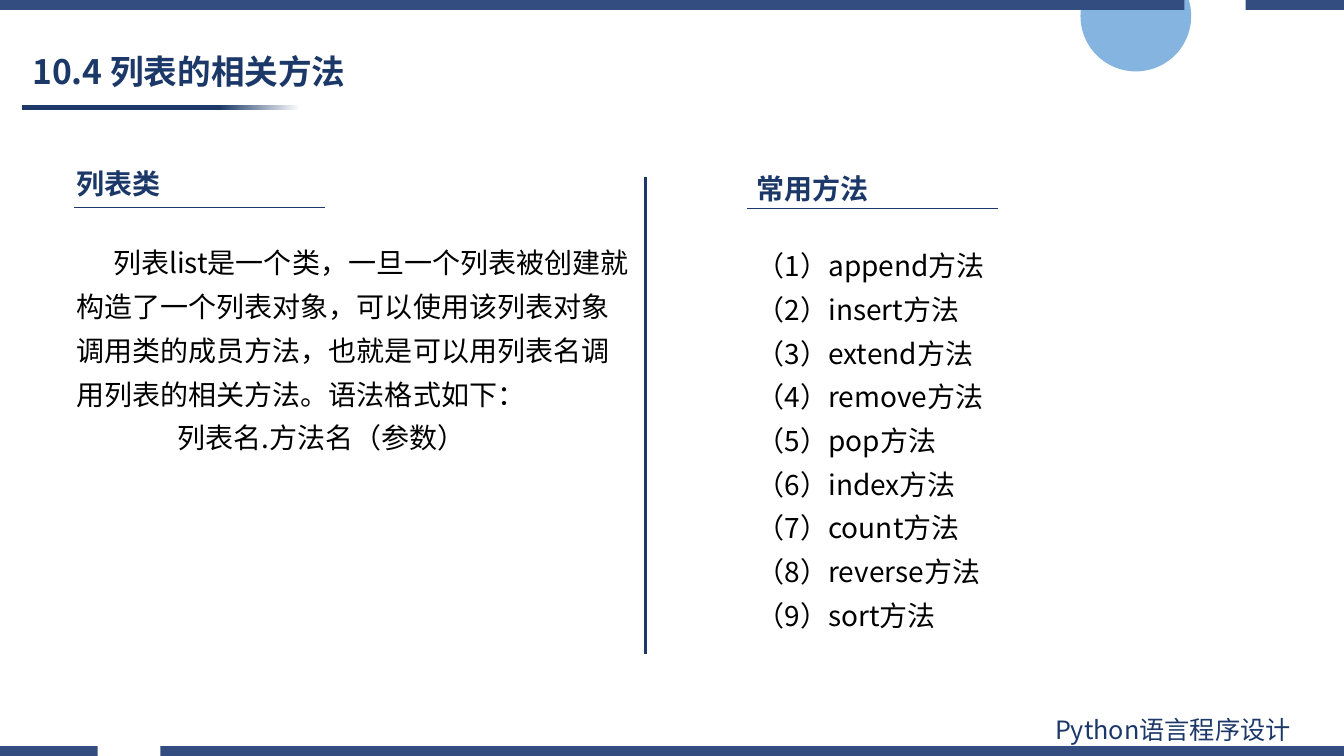
from dataclasses import dataclass

from lxml import etree
from pptx import Presentation
from pptx.dml.color import RGBColor
from pptx.enum.shapes import MSO_CONNECTOR, MSO_SHAPE
from pptx.enum.text import MSO_ANCHOR, MSO_AUTO_SIZE, PP_ALIGN
from pptx.oxml.ns import qn
from pptx.shapes.base import BaseShape
from pptx.slide import Slide
from pptx.text.text import TextFrame, _Paragraph
from pptx.util import Cm, Pt

STRAIGHT = MSO_CONNECTOR.STRAIGHT
OVAL, RECTANGLE = MSO_SHAPE.OVAL, MSO_SHAPE.RECTANGLE
MIDDLE, LEFT, NO_FIT = MSO_ANCHOR.MIDDLE, PP_ALIGN.LEFT, MSO_AUTO_SIZE.NONE

FONT = "Noto Sans CJK SC"
COLOURS = {"navy": "1B3868", "bar": "334D80", "sky": "5B9BD5",
           "text": "000000", "white": "FFFFFF"}
PAGE_WIDTH, PAGE_HEIGHT, BAR_HEIGHT = 33.87, 19.05, 0.25
METHODS = ["append", "insert", "extend", "remove", "pop",
           "index", "count", "reverse", "sort"]


@dataclass
class Line:
    text: str
    indent: float = 0


@dataclass
class TextBlock:
    left: float
    top: float
    width: float
    height: float
    lines: list[Line]
    size: float = 20
    colour: str = "text"
    bold: bool = False
    spacing: float = 1.0


@dataclass
class Rule:
    start: tuple[float, float]
    end: tuple[float, float]
    weight: float


@dataclass
class Bar:
    top: float
    spans: list[tuple[float, float]]


BARS = [
    Bar(PAGE_HEIGHT - BAR_HEIGHT, [(0, 2.46), (4.04, PAGE_WIDTH)]),
    Bar(0, [(0, 29.85), (31.39, PAGE_WIDTH)]),
]
RULES = [
    Rule((16.26, 4.47), (16.26, 16.48), 2),
    Rule((18.82, 5.26), (25.15, 5.26), 0.5),
    Rule((1.86, 5.23), (8.2, 5.23), 0.5),
]
TITLE = TextBlock(0.56, 1.14, 15.34, 1.42, [Line("10.4 列表的相关方法")],
                  size=24, colour="navy", bold=True, spacing=0.9)
TEXT_BLOCKS = [
    TextBlock(26.34, 17.88, 7.47, 1.02, [Line("Python语言程序设计")],
              size=18, colour="navy"),
    TextBlock(18.82, 4.19, 8.64, 1.12, [Line("常用方法")],
              colour="navy", bold=True),
    TextBlock(18.82, 5.89, 10.03, 11.38,
              [Line(f"（{number}）{name}方法")
               for number, name in enumerate(METHODS, start=1)], spacing=1.3),
    TextBlock(1.68, 4.06, 8.64, 1.12, [Line("列表类")],
              colour="navy", bold=True),
    TextBlock(1.68, 5.82, 14.5, 5.82, [
        Line("列表list是一个类，一旦一个列表被创建就构造了一个列表对象，"
             "可以使用该列表对象调用类的成员方法，也就是可以用列表名"
             "调用列表的相关方法。语法格式如下：", indent=0.92),
        Line("列表名.方法名（参数）", indent=2.54)], spacing=1.3),
]


def colour_of(name: str) -> RGBColor:
    return RGBColor.from_string(COLOURS[name])


def paint(shape: BaseShape, colour: str) -> None:
    shape.shadow.inherit = False
    shape.line.fill.background()
    shape.fill.solid()
    shape.fill.fore_color.rgb = colour_of(colour)


def draw_circle(page: Slide) -> None:
    circle = page.shapes.add_shape(OVAL, Cm(27.23), Cm(-0.99), Cm(2.79), Cm(2.79))
    paint(circle, "sky")
    colour = next(circle.element.spPr.iter(qn("a:srgbClr")))
    etree.SubElement(colour, qn("a:alpha")).set("val", "75000")


def draw_title_underline(page: Slide) -> None:
    """Draw a strip that stays navy, then fades to white at its right end."""
    strip = page.shapes.add_shape(RECTANGLE, Cm(0.55), Cm(2.65), Cm(7.01), Cm(0.13))
    paint(strip, "navy")
    strip.fill.gradient()
    strip.fill.gradient_angle = 0
    fade = [(0.71, "navy"), (1.0, "white")]
    for stop, (position, colour) in zip(strip.fill.gradient_stops, fade):
        stop.position = position
        stop.color.rgb = colour_of(colour)


def draw_bar(page: Slide, bar: Bar) -> None:
    """Draw all the spans of one edge bar as a single outline."""
    top, bottom = Cm(bar.top), Cm(bar.top + BAR_HEIGHT)
    builder = page.shapes.build_freeform(Cm(bar.spans[0][0]), top)
    for index, (left, right) in enumerate(bar.spans):
        if index:
            builder.move_to(Cm(left), top)
        builder.add_line_segments([(Cm(right), top), (Cm(right), bottom),
                                   (Cm(left), bottom)], close=True)
    paint(builder.convert_to_shape(), "bar")


def draw_rule(page: Slide, rule: Rule) -> None:
    ends = [Cm(value) for value in rule.start + rule.end]
    connector = page.shapes.add_connector(STRAIGHT, *ends)
    connector.line.color.rgb = colour_of("navy")
    connector.line.width = Pt(rule.weight)
    etree.SubElement(connector.element.spPr, qn("a:effectLst"))


def add_line(para: _Paragraph, line: Line, block: TextBlock) -> None:
    para.alignment = LEFT
    para.line_spacing = block.spacing
    if line.indent:
        para._p.get_or_add_pPr().set("indent", str(Cm(line.indent)))
    span = para.add_run()
    span.text = line.text
    span.font.size = Pt(block.size)
    span.font.bold = block.bold
    span.font.color.rgb = colour_of(block.colour)
    span.font.name = FONT
    etree.SubElement(span._r.get_or_add_rPr(), qn("a:ea")).set("typeface", FONT)


def fill_text(frame: TextFrame, block: TextBlock) -> None:
    frame.word_wrap = True
    frame.auto_size = NO_FIT
    for index, line in enumerate(block.lines):
        para = frame.add_paragraph() if index else frame.paragraphs[0]
        add_line(para, line, block)


def draw_title(page: Slide, block: TextBlock) -> None:
    title = page.shapes.title
    title.left, title.top = Cm(block.left), Cm(block.top)
    title.width, title.height = Cm(block.width), Cm(block.height)
    title.text_frame.vertical_anchor = MIDDLE
    fill_text(title.text_frame, block)


def draw_text(page: Slide, block: TextBlock) -> None:
    box = page.shapes.add_textbox(Cm(block.left), Cm(block.top),
                                  Cm(block.width), Cm(block.height))
    fill_text(box.text_frame, block)


def main() -> None:
    deck = Presentation()
    deck.slide_width, deck.slide_height = Cm(PAGE_WIDTH), Cm(PAGE_HEIGHT)
    page = deck.slides.add_slide(deck.slide_layouts.get_by_name("Title Only"))
    draw_circle(page)
    draw_title_underline(page)
    for bar in BARS:
        draw_bar(page, bar)
    draw_title(page, TITLE)
    for rule in RULES:
        draw_rule(page, rule)
    for block in TEXT_BLOCKS:
        draw_text(page, block)
    deck.save("out.pptx")


if __name__ == "__main__":
    main()
